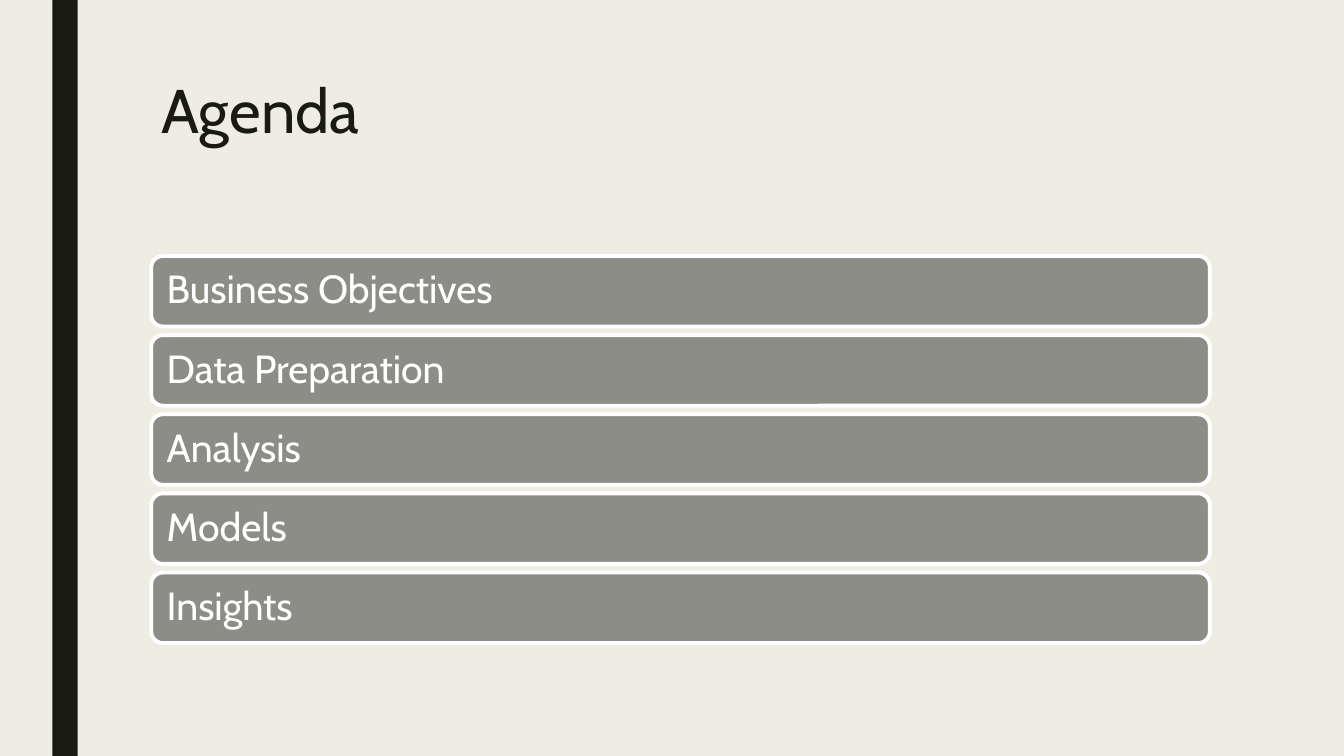
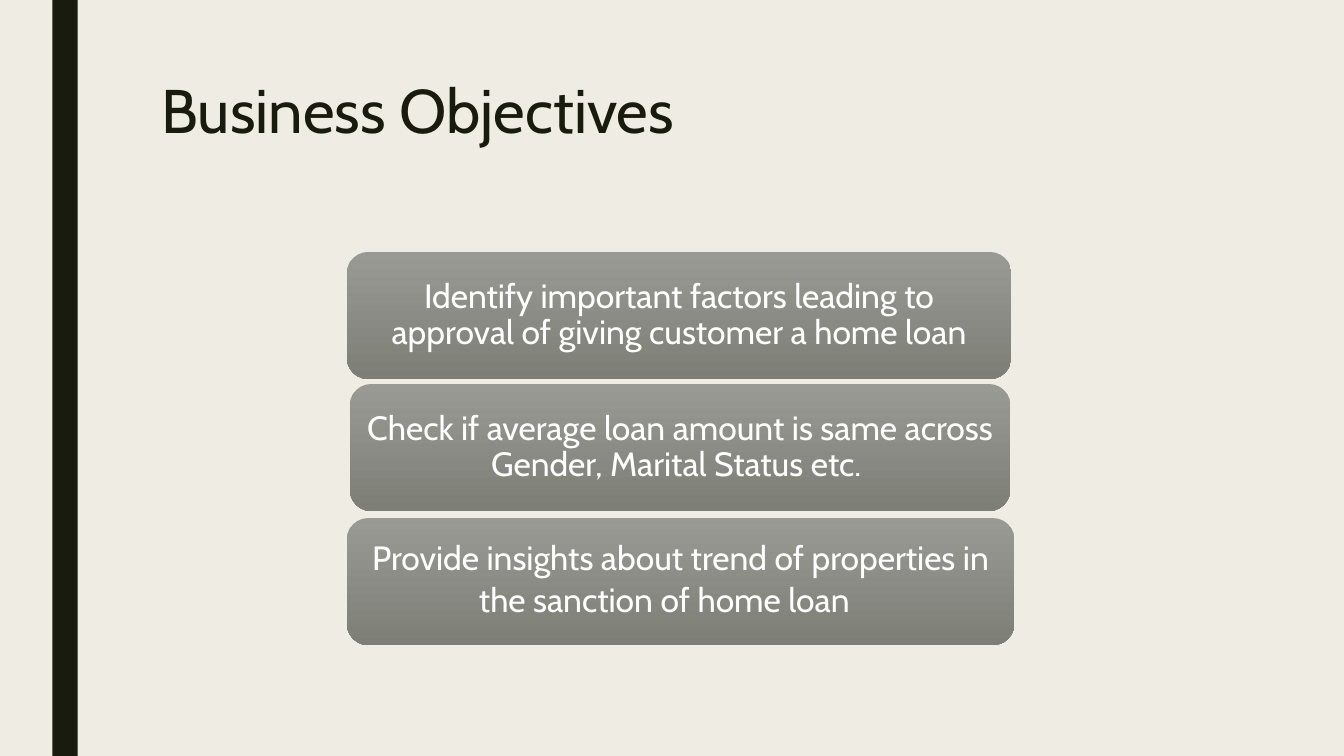
from pptx import Presentation
from pptx.dml.color import RGBColor
from pptx.enum.shapes import MSO_SHAPE
from pptx.enum.text import MSO_ANCHOR, PP_ALIGN
from pptx.util import Inches, Pt

RECT, ROUND = MSO_SHAPE.RECTANGLE, MSO_SHAPE.ROUNDED_RECTANGLE
TOP, MIDDLE = MSO_ANCHOR.TOP, MSO_ANCHOR.MIDDLE
LEFT, CENTER = PP_ALIGN.LEFT, PP_ALIGN.CENTER

FONT = "Cabin"
COLORS = {"paper": "EFEDE3", "ink": "191B0E", "gray": "8C8D86",
          "light": "999A94", "dark": "7D7E76", "white": "FFFFFF"}

AGENDA = ["Business Objectives", "Data Preparation", "Analysis", "Models",
          "Insights"]
# left, top, width, text, end tab
GOALS = [
    (3.44, 2.5, 6.59, "Identify important factors leading to approval of "
     "giving customer a home loan", False),
    (3.47, 3.81, 6.55, "Check if average loan amount is same across Gender, "
     "Marital Status etc. ", False),
    (3.44, 5.14, 6.62, "Provide insights about trend of properties in the "
     "sanction of home loan", True),
]


def color(name):
    """Return the named palette colour."""
    return RGBColor.from_string(COLORS[name])


def style(para, size, tone, align, gap=0.9):
    """Set the font, alignment and line spacing of a paragraph."""
    para.alignment, para.line_spacing = align, gap
    para.font.name, para.font.size = FONT, Pt(size)
    para.font.color.rgb = color(tone)


def add_box(slide, kind, left, top, width, height, fill):
    """Add a plain filled shape without line or shadow."""
    box = slide.shapes.add_shape(kind, Inches(left), Inches(top),
                                 Inches(width), Inches(height))
    box.shadow.inherit = False
    box.fill.solid()
    box.fill.fore_color.rgb = color(fill)
    box.line.fill.background()
    return box


def write(box, text, size, align, inset):
    """Write white text in a box and return its paragraph."""
    frame = box.text_frame
    frame.word_wrap, frame.vertical_anchor = True, MIDDLE
    frame.margin_left = frame.margin_right = Inches(inset)
    para = frame.paragraphs[0]
    para.add_run().text = text
    style(para, size, "white", align)
    return para


def add_slide(deck, text):
    """Add a slide with the shared title style."""
    slide = deck.slides.add_slide(deck.slide_layouts[5])
    title = slide.shapes.title
    title.left, title.top = Inches(1.5), Inches(0.75)
    title.width, title.height = Inches(10.5), Inches(1.62)
    title.text_frame.text = text
    title.text_frame.vertical_anchor = TOP
    style(title.text_frame.paragraphs[0], 44, "ink", LEFT, 0.89)
    return slide


def set_master(deck, slide):
    """Give the master its background and its side band."""
    master = deck.slide_master
    master.background.fill.solid()
    master.background.fill.fore_color.rgb = color("paper")
    band = add_box(slide, RECT, 0.52, 0, 0.25, 7.5, "ink")
    master.element.cSld.spTree.append(band.element)


def add_agenda(slide):
    """Stack the agenda bars at an even pitch."""
    for row, text in enumerate(AGENDA):
        bar = add_box(slide, ROUND, 1.5, 2.54 + 0.785 * row, 10.5, 0.7, "gray")
        bar.line.color.rgb = color("white")
        bar.line.width = Pt(2.75)
        write(bar, text, 28, LEFT, 0.12)


def add_goals(slide):
    """Add the shaded goal boxes."""
    for left, top, width, text, tab in GOALS:
        box = add_box(slide, ROUND, left, top, width, 1.26, "gray")
        box.fill.gradient()
        box.fill.gradient_angle = 270
        for stop, tone in zip(box.fill.gradient_stops, ("light", "dark")):
            stop.color.rgb = color(tone)
        para = write(box, text, 24, CENTER, 0.1)
        if tab:
            run = para.add_run()
            run.text = "\t"
            run.font.size = Pt(29)


deck = Presentation()
deck.slide_width, deck.slide_height = Inches(13.33), Inches(7.5)
agenda = add_slide(deck, "Agenda")
set_master(deck, agenda)
add_agenda(agenda)
add_goals(add_slide(deck, "Business Objectives"))
deck.save("out.pptx")
